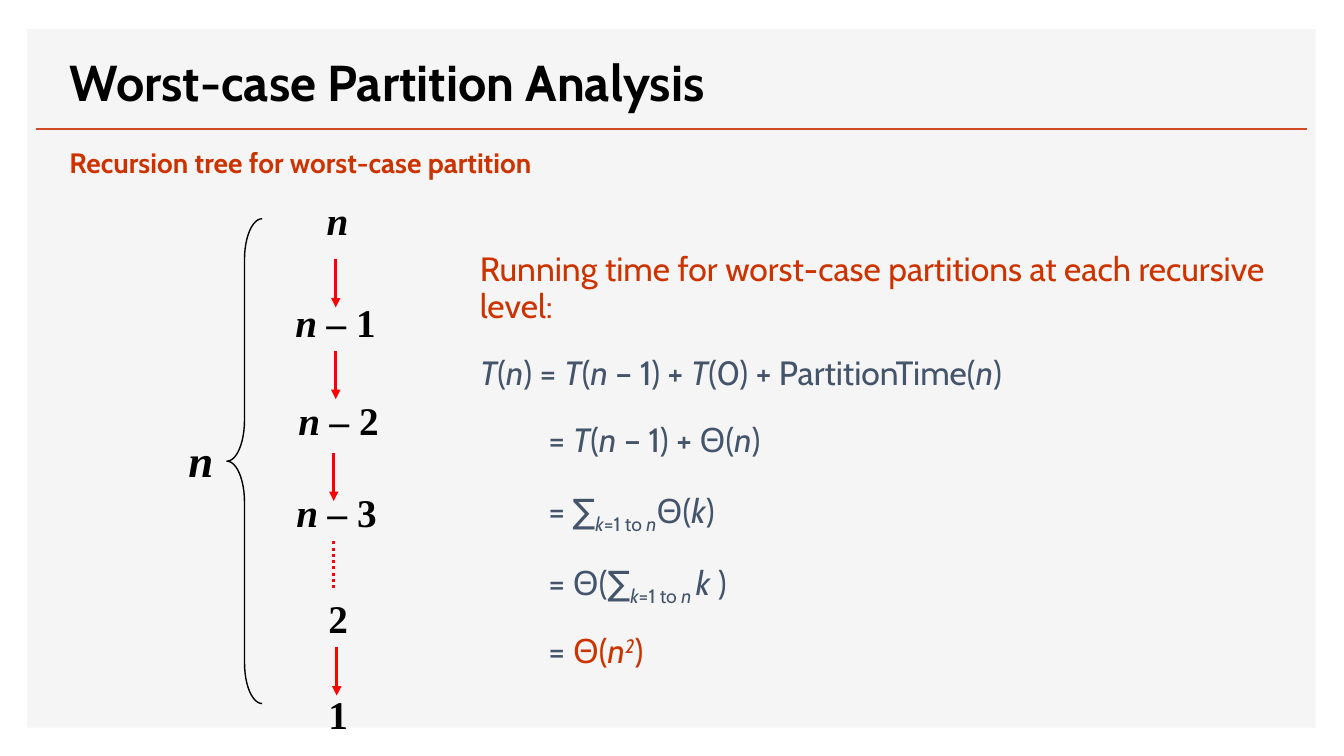
from lxml.etree import SubElement
from pptx import Presentation
from pptx.dml.color import RGBColor
from pptx.enum.dml import MSO_LINE
from pptx.enum.shapes import MSO_CONNECTOR, MSO_SHAPE
from pptx.enum.text import MSO_ANCHOR
from pptx.oxml.ns import qn
from pptx.util import Pt

PX = 9144  # 100 px to the inch
BLACK, RED, ARROW, SLATE = "000000", "CC3300", "FF0000", "44546A"
color = RGBColor.from_string


def add_text(box, paragraphs, size, font, default, bold=False, wrap=True):
    """Each run is (text, style): i italic, _ subscript, ^ superscript, r red."""
    tf = s.shapes.add_textbox(*[v * PX for v in box]).text_frame
    tf.word_wrap = wrap
    for i, runs in enumerate(paragraphs):
        p = tf.paragraphs[0] if i == 0 else tf.add_paragraph()
        for text, style in runs:
            r = p.add_run()
            r.text = text
            look = {"size": Pt(size), "name": font, "bold": bold, "italic": "i" in style}
            for key, value in look.items():
                setattr(r.font, key, value)
            r.font.color.rgb = color(RED if "r" in style else default)
            for mark, shift in (("_", "-25000"), ("^", "30000")):
                if mark in style:
                    r.font._element.set("baseline", shift)
    return tf


def add_line(x1, y1, x2, y2, rgb, width):
    c = s.shapes.add_connector(MSO_CONNECTOR.STRAIGHT, x1 * PX, y1 * PX, x2 * PX, y2 * PX)
    c.line.color.rgb = color(rgb)
    c.line.width = Pt(width)
    SubElement(c._element.spPr, qn("a:effectLst"))
    return c.line


prs = Presentation()
prs.slide_width, prs.slide_height = 1333 * PX, 750 * PX
s = prs.slides.add_slide(prs.slide_layouts[6])

# Panel, title and heading
panel = s.shapes.add_shape(MSO_SHAPE.RECTANGLE, 27 * PX, 29 * PX, 1278 * PX, 693 * PX)
panel.shadow.inherit = False
panel.fill.solid()
panel.fill.fore_color.rgb = color("F5F5F5")
panel.line.fill.background()
add_line(36, 128, 1296, 128, "D24726", 2)
title = add_text((59, 39, 1239, 77), [[("Worst-case Partition Analysis", "")]],
                 36, "Cabin", BLACK, bold=True)
title.vertical_anchor = MSO_ANCHOR.BOTTOM
add_text((59, 139, 554, 44), [[("Recursion tree for worst-case partition", "")]],
         20, "Cabin", RED, bold=True)

# Running time derivation
derivation = [
    [("Running time for worst-case partitions at each recursive level:", "r")],
    [("T", "i"), ("(", ""), ("n", "i"), (") = ", ""), ("T", "i"), ("(", ""), ("n", "i"),
     (" – 1) + ", ""), ("T", "i"), ("(0) + PartitionTime(", ""), ("n", "i"), (")", "")],
    [("= ", ""), ("T", "i"), ("(", ""), ("n ", "i"), ("– 1) + Θ(", ""), ("n", "i"), (")", "")],
    [("= ∑", ""), ("k", "i_"), ("=1 to ", "_"), ("n", "i_"), ("Θ(", ""), ("k", "i"), (")", "")],
    [("= Θ(∑", ""), ("k", "i_"), ("=1 to ", "_"), ("n ", "i_"), ("k ", "i"), (")", "")],
    [("= ", ""), ("Θ(", "r"), ("n", "ir"), ("2", "ir^"), (")", "r")],
]
steps = add_text((466, 246, 832, 467), derivation, 24, "Cabin", SLATE)
for i, p in enumerate(steps.paragraphs):
    p.line_spacing = 0.9
    p.space_before = Pt(10 if i else 0)
    p.space_after = Pt(12)
    if i >= 2:
        p._p.get_or_add_pPr().set("marL", str(68 * PX))

# Recursion tree: nodes as left, top, width, variable part, number
nodes = [
    (314, 190, 42, "n", ""),
    (283, 291, 111, "n – ", "1"),
    (286, 388, 111, "n – ", "2"),
    (284, 480, 111, "n – ", "3"),
    (316, 585, 50, "", "2"),
    (316, 680, 50, "", "1"),
]
for x, y, w, variable, number in nodes:
    runs = [run for run in ((variable, "i"), (number, "")) if run[0]]
    add_text((x, y, w, 57), [runs], 28, "Times New Roman", BLACK, bold=True, wrap=False)

for x, y, dotted in [(333, 257, False), (333, 348, False), (331, 449, False),
                     (331, 537, True), (334, 642, False)]:
    line = add_line(x, y, x, y + 48, ARROW, 2.25)
    if dotted:
        line.dash_style = MSO_LINE.ROUND_DOT
    else:
        SubElement(line._get_or_add_ln(), qn("a:tailEnd"), type="triangle")

# Depth of the tree
brace = s.shapes.add_shape(MSO_SHAPE.LEFT_BRACE, 225 * PX, 217 * PX, 35 * PX, 481 * PX)
brace.shadow.inherit = False
brace.adjustments[0] = 1.155
brace.fill.background()
brace.line.color.rgb = color(BLACK)
brace.line.width = Pt(1)
add_text((177, 424, 45, 64), [[("n", "i")]], 32, "Times New Roman", BLACK, bold=True, wrap=False)

prs.save("out.pptx")
